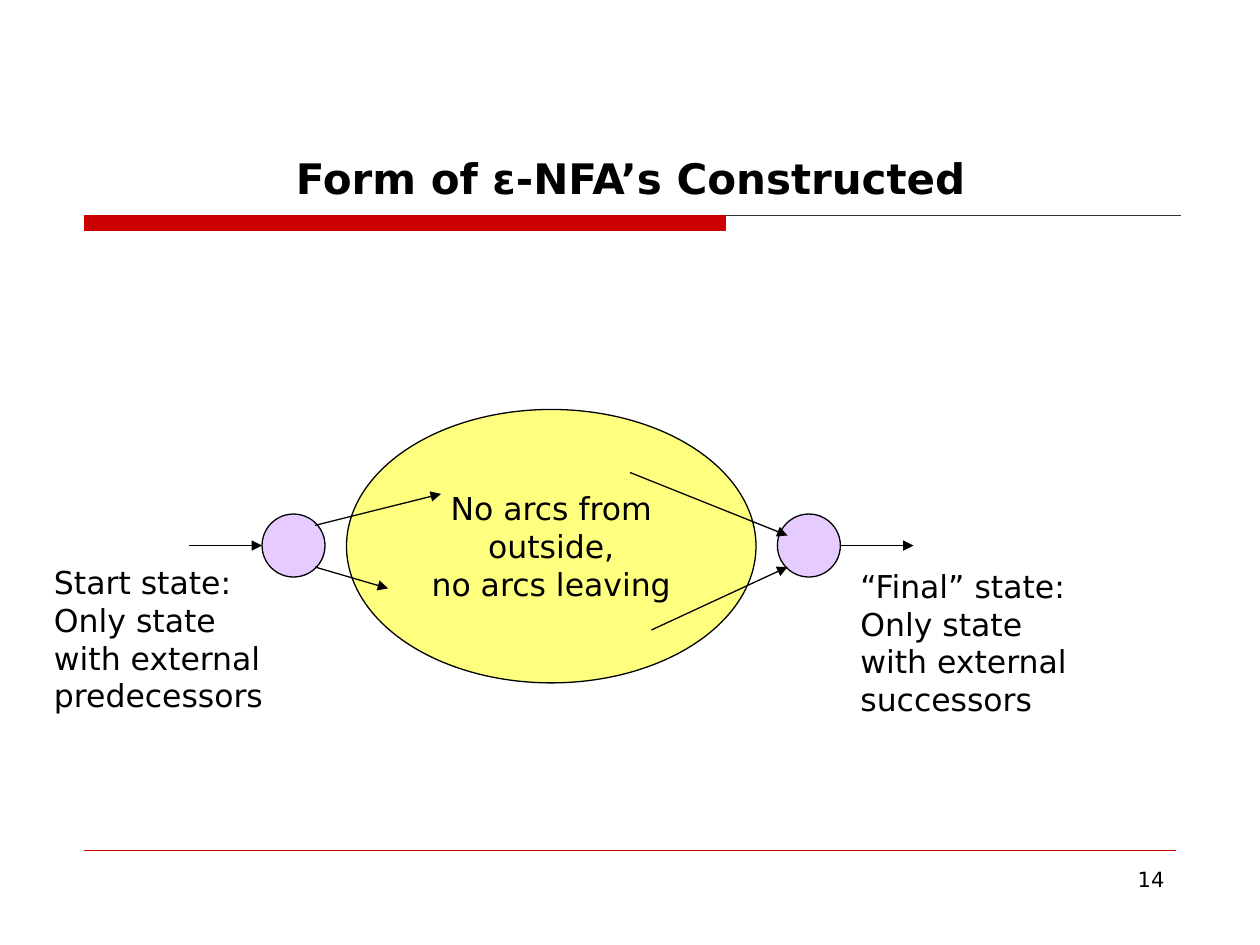
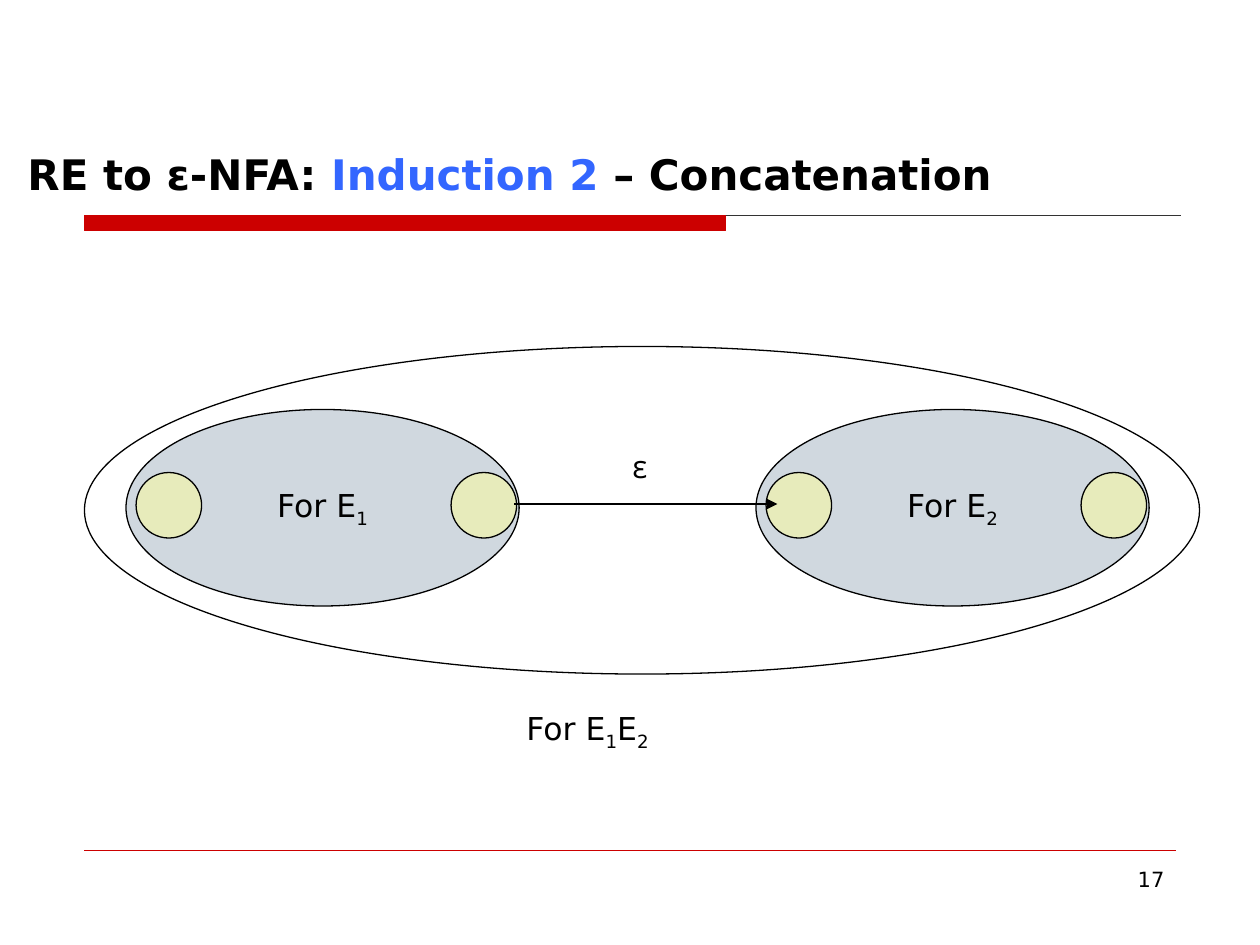
import pptx
import pptx.dml.color
import pptx.enum.shapes
import pptx.enum.text
import pptx.oxml.ns
import pptx.util
from lxml import etree

Inches = pptx.util.Inches
Pt = pptx.util.Pt
ALIGN = pptx.enum.text.PP_ALIGN
ANCHOR = pptx.enum.text.MSO_ANCHOR
SHAPE = pptx.enum.shapes.MSO_SHAPE
STRAIGHT = pptx.enum.shapes.MSO_CONNECTOR.STRAIGHT
qn = pptx.oxml.ns.qn

COLORS = {
    "text": "000000",
    "accent": "CC0000",
    "rule": "333333",
    "highlight": "3366FF",
    "state": "CC99FF",
    "body": "FFFF00",
    "automaton": "A3B2C1",
    "end_state": "FFFF99",
}
FONT = "DejaVu Sans"
SYMBOL_FONT = "Open Sans"

FORM = {
    "number": "14",
    "title": [[("Form of ε-NFA’s Constructed", {})]],
    "title_box": (0.63, 0.33, 8.75, 1.33),
    "body_text": [[("No arcs from outside,", {})], [("no arcs leaving", {})]],
    "state_lefts": (2.08, 6.17),
    "arrows": [
        ((1.5, 4.33), (2.08, 4.33)),
        ((6.67, 4.33), (7.25, 4.33)),
        ((2.5, 4.5), (3.08, 4.67)),
        ((2.5, 4.17), (3.5, 3.92)),
        ((5, 3.75), (6.25, 4.25)),
        ((5.17, 5), (6.25, 4.5)),
    ],
    "captions": [
        ((0.33, 4.42, 2.12, 1.7),
         ["Start state:", "Only state", "with external", "predecessors"]),
        ((6.73, 4.45, 2.11, 1.7),
         ["“Final” state:", "Only state", "with external", "successors"]),
    ],
}

SUB = {"subscript": True}
CONCATENATION = {
    "number": "17",
    "title": [[("RE to ε-NFA: ", {}),
               ("Induction 2", {"color": "highlight"}),
               (" – Concatenation", {})]],
    "title_box": (0.12, 0.38, 10, 1.25),
    "automata": [(1, "1"), (6, "2")],
    "end_state_offsets": (2.58, 0.08),
    "whole": [[("For E", {}), ("1", SUB), ("E", {}), ("2", SUB)]],
}


def color(name):
    return pptx.dml.color.RGBColor.from_string(COLORS[name])


def write(frame, paragraphs, size=18, bold=False, align=ALIGN.LEFT,
          anchor=ANCHOR.TOP, font=FONT):
    frame.word_wrap = True
    frame.vertical_anchor = anchor
    for index, runs in enumerate(paragraphs):
        paragraph = frame.paragraphs[0] if index == 0 else frame.add_paragraph()
        paragraph.alignment = align
        for text, style in runs:
            run = paragraph.add_run()
            run.text = text
            run.font.name = font
            run.font.size = Pt(size)
            run.font.bold = bold
            run.font.color.rgb = color(style.get("color", "text"))
            if style.get("subscript"):
                run.font._element.set("baseline", "-25000")


def add_text(shapes, box, paragraphs, **style):
    textbox = shapes.add_textbox(*map(Inches, box))
    write(textbox.text_frame, paragraphs, **style)


def add_ellipse(shapes, box, fill=None, paragraphs=()):
    ellipse = shapes.add_shape(SHAPE.OVAL, *map(Inches, box))
    ellipse.shadow.inherit = False
    ellipse.line.color.rgb = color("text")
    ellipse.line.width = Pt(0.75)
    if fill:
        ellipse.fill.solid()
        ellipse.fill.fore_color.rgb = color(fill)
        fill_color = ellipse._element.spPr.find(qn("a:solidFill"))[0]
        etree.SubElement(fill_color, qn("a:alpha"), val="50000")
    else:
        ellipse.fill.background()
    write(ellipse.text_frame, paragraphs, align=ALIGN.CENTER, anchor=ANCHOR.MIDDLE)


def add_line(shapes, start, end, name="text", arrow=False):
    connector = shapes.add_connector(STRAIGHT, *map(Inches, start + end))
    connector.line.color.rgb = color(name)
    connector.line.width = Pt(0.75)
    if arrow:
        etree.SubElement(connector.line._get_or_add_ln(), qn("a:tailEnd"), type="triangle")
    etree.SubElement(connector._element.spPr, qn("a:effectLst"))


def add_base(presentation, content):
    slide = presentation.slides.add_slide(presentation.slide_layouts[6])
    shapes = slide.shapes
    add_line(shapes, (0.67, 1.71), (9.37, 1.71), "rule")
    band = shapes.add_shape(SHAPE.RECTANGLE, *map(Inches, (0.67, 1.71, 5.09, 0.12)))
    band.shadow.inherit = False
    band.fill.solid()
    band.fill.fore_color.rgb = color("accent")
    band.line.color.rgb = color("accent")
    band.line.width = Pt(0.75)
    add_line(shapes, (0.67, 6.75), (9.33, 6.75), "accent")
    add_text(shapes, (7.17, 6.83, 2.17, 0.52), [[(content["number"], {})]],
             size=12, align=ALIGN.RIGHT)
    return shapes


def add_title(shapes, content, align):
    add_text(shapes, content["title_box"], content["title"], size=24, bold=True,
             align=align, anchor=ANCHOR.BOTTOM)


def build_form(presentation):
    shapes = add_base(presentation, FORM)
    add_title(shapes, FORM, ALIGN.CENTER)
    for left in FORM["state_lefts"]:
        add_ellipse(shapes, (left, 4.08, 0.5, 0.5), "state")
    add_ellipse(shapes, (2.75, 3.25, 3.25, 2.17), "body", FORM["body_text"])
    for start, end in FORM["arrows"]:
        add_line(shapes, start, end, arrow=True)
    for box, lines in FORM["captions"]:
        add_text(shapes, box, [[(line, {})] for line in lines])


def build_concatenation(presentation):
    shapes = add_base(presentation, CONCATENATION)
    add_title(shapes, CONCATENATION, ALIGN.LEFT)
    for left, index in CONCATENATION["automata"]:
        group = shapes.add_group_shape().shapes
        add_ellipse(group, (left, 3.25, 3.12, 1.56), "automaton",
                    [[("For E", {}), (index, SUB)]])
        for offset in CONCATENATION["end_state_offsets"]:
            add_ellipse(group, (left + offset, 3.75, 0.52, 0.52), "end_state")
    add_ellipse(shapes, (0.67, 2.75, 8.85, 2.6))
    add_text(shapes, (4.08, 5.58, 1.56, 0.52), CONCATENATION["whole"])
    add_line(shapes, (4.08, 4), (6.17, 4), arrow=True)
    add_text(shapes, (4.92, 3.5, 0.52, 0.52), [[("ε", {})]], font=SYMBOL_FONT)


def main():
    presentation = pptx.Presentation()
    presentation.slide_width = Inches(10)
    presentation.slide_height = Inches(7.5)
    build_form(presentation)
    build_concatenation(presentation)
    presentation.save("out.pptx")


if __name__ == "__main__":
    main()
